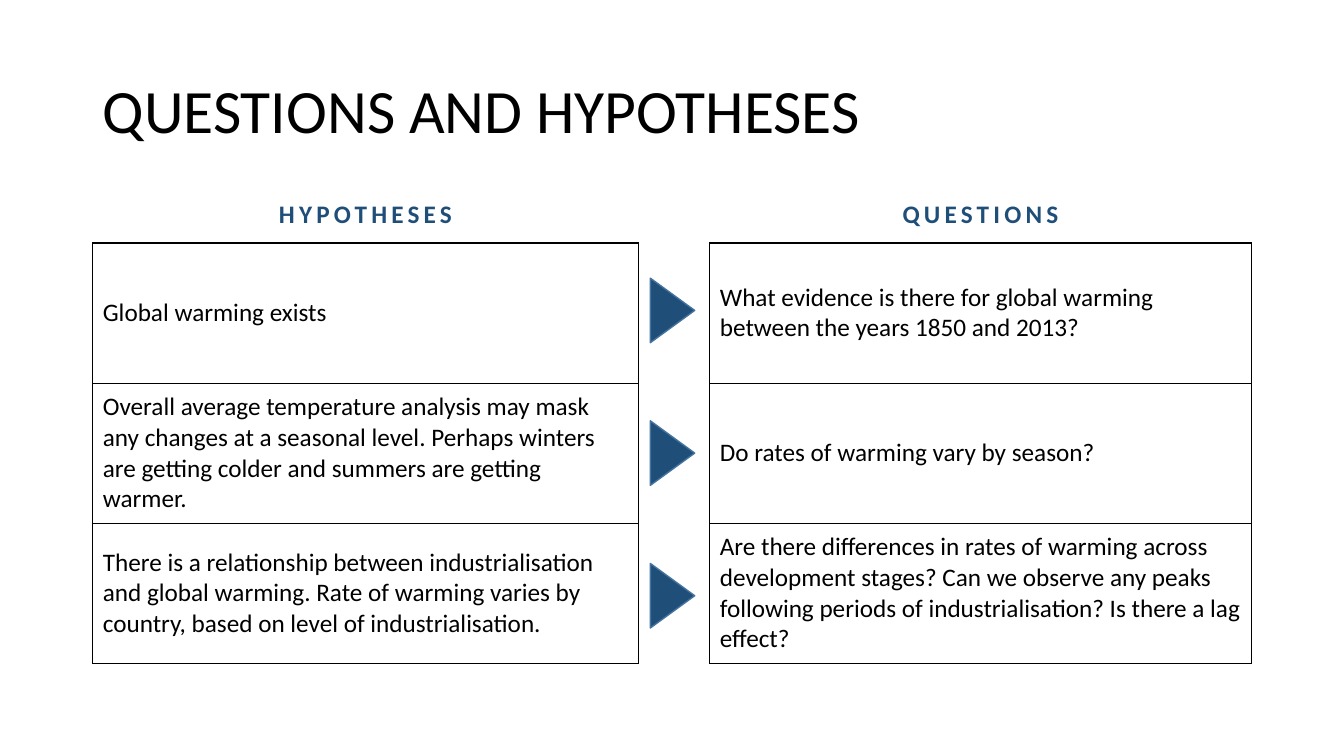
from lxml import etree
from pptx import Presentation
from pptx.dml.color import RGBColor
from pptx.enum.shapes import MSO_SHAPE
from pptx.enum.text import MSO_ANCHOR, PP_ALIGN
from pptx.oxml.ns import qn
from pptx.util import Inches, Pt

TRIANGLE = MSO_SHAPE.ISOSCELES_TRIANGLE
MIDDLE = MSO_ANCHOR.MIDDLE
LEFT, CENTER = PP_ALIGN.LEFT, PP_ALIGN.CENTER

THEME = {
    "font": "Calibri",
    "title_size": 44,
    "body_size": 18,
    "ink": "000000",
    "accent": "1F4E79",
    "arrow_edge": "43739E",
}

# Grid in inches
MARGIN, TITLE_TOP, TABLE_TOP = 0.92, 0.4, 1.85
COLUMNS = [5.41, 0.71, 5.37]
HEADER_HEIGHT, ROW_HEIGHT = 0.56, 1.39
ARROW_BASE, ARROW_DEPTH = 0.64, 0.44
ARROW_CENTER_X, FIRST_ARROW_Y, ARROW_PITCH = 6.67, 3.08, 1.415

HEADINGS = ("HYPOTHESES", "QUESTIONS")
PAIRS = [
    ("Global warming exists",
     "What evidence is there for global warming between the years 1850 and 2013?"),
    ("Overall average temperature analysis may mask any changes at a seasonal level. "
     "Perhaps winters are getting colder and summers are getting warmer.",
     "Do rates of warming vary by season?"),
    ("There is a relationship between industrialisation and global warming. "
     "Rate of warming varies by country, based on level of industrialisation.",
     "Are there differences in rates of warming across development stages? "
     "Can we observe any peaks following periods of industrialisation? "
     "Is there a lag effect?"),
]


def write(frame, text, size=THEME["body_size"], color=THEME["ink"], bold=False,
          align=LEFT, tracking=0, line_spacing=1.0):
    paragraph = frame.paragraphs[0]
    paragraph.alignment = align
    paragraph.line_spacing = line_spacing
    run = paragraph.add_run()
    run.text = text
    run.font.name = THEME["font"]
    run.font.size = Pt(size)
    run.font.bold = bold
    run.font.color.rgb = RGBColor.from_string(color)
    if tracking:
        run.font._element.set("spc", str(tracking * 100))


def set_borders(cell, widths):
    """Draw the sides named in widths (points) and hide the others."""
    properties = cell._tc.get_or_add_tcPr()
    for side in "LRTB":
        line = etree.SubElement(properties, qn(f"a:ln{side}"))
        if side in widths:
            line.set("w", str(Pt(widths[side])))
            fill = etree.SubElement(line, qn("a:solidFill"))
            etree.SubElement(fill, qn("a:srgbClr"), val=THEME["ink"])
        else:
            etree.SubElement(line, qn("a:noFill"))


prs = Presentation()
prs.slide_width, prs.slide_height = Inches(13.33), Inches(7.5)
slide = prs.slides.add_slide(prs.slide_layouts[6])

# Title
title = slide.shapes.add_textbox(Inches(MARGIN), Inches(TITLE_TOP),
                                 Inches(11.5), Inches(TABLE_TOP - TITLE_TOP))
title.text_frame.word_wrap = True
title.text_frame.vertical_anchor = MIDDLE
write(title.text_frame, "QUESTIONS AND HYPOTHESES", size=THEME["title_size"],
      line_spacing=0.9)

# Hypotheses and questions, with an empty column for the arrows
row_heights = [HEADER_HEIGHT] + [ROW_HEIGHT] * len(PAIRS)
table = slide.shapes.add_table(
    len(row_heights), len(COLUMNS), Inches(MARGIN), Inches(TABLE_TOP),
    Inches(sum(COLUMNS)), Inches(sum(row_heights))).table
table.first_row = table.horz_banding = False
for column, width in zip(table.columns, COLUMNS):
    column.width = Inches(width)
for row, height in zip(table.rows, row_heights):
    row.height = Inches(height)

last = len(PAIRS)
for r, (hypothesis, question) in enumerate([HEADINGS] + PAIRS):
    for c, text in enumerate((hypothesis, "", question)):
        cell = table.cell(r, c)
        cell.vertical_anchor = MIDDLE
        if not text:
            borders = {"L": 1, "R": 1} if r else {}
        elif r == 0:
            borders = {"B": 1}
            write(cell.text_frame, text, color=THEME["accent"], bold=True,
                  align=CENTER, tracking=3)
        else:
            borders = {"L": 1, "R": 1, "T": 1 if r == 1 else 0.5,
                       "B": 1 if r == last else 0.5}
            write(cell.text_frame, text)
        set_borders(cell, borders)
        cell.fill.background()

# Arrows from each hypothesis to its question
for i in range(len(PAIRS)):
    arrow = slide.shapes.add_shape(
        TRIANGLE, Inches(ARROW_CENTER_X - ARROW_BASE / 2),
        Inches(FIRST_ARROW_Y + i * ARROW_PITCH - ARROW_DEPTH / 2),
        Inches(ARROW_BASE), Inches(ARROW_DEPTH))
    arrow.rotation = 90
    arrow.shadow.inherit = False
    arrow.fill.solid()
    arrow.fill.fore_color.rgb = RGBColor.from_string(THEME["accent"])
    arrow.line.color.rgb = RGBColor.from_string(THEME["arrow_edge"])
    arrow.line.width = Pt(1)

prs.save("out.pptx")
